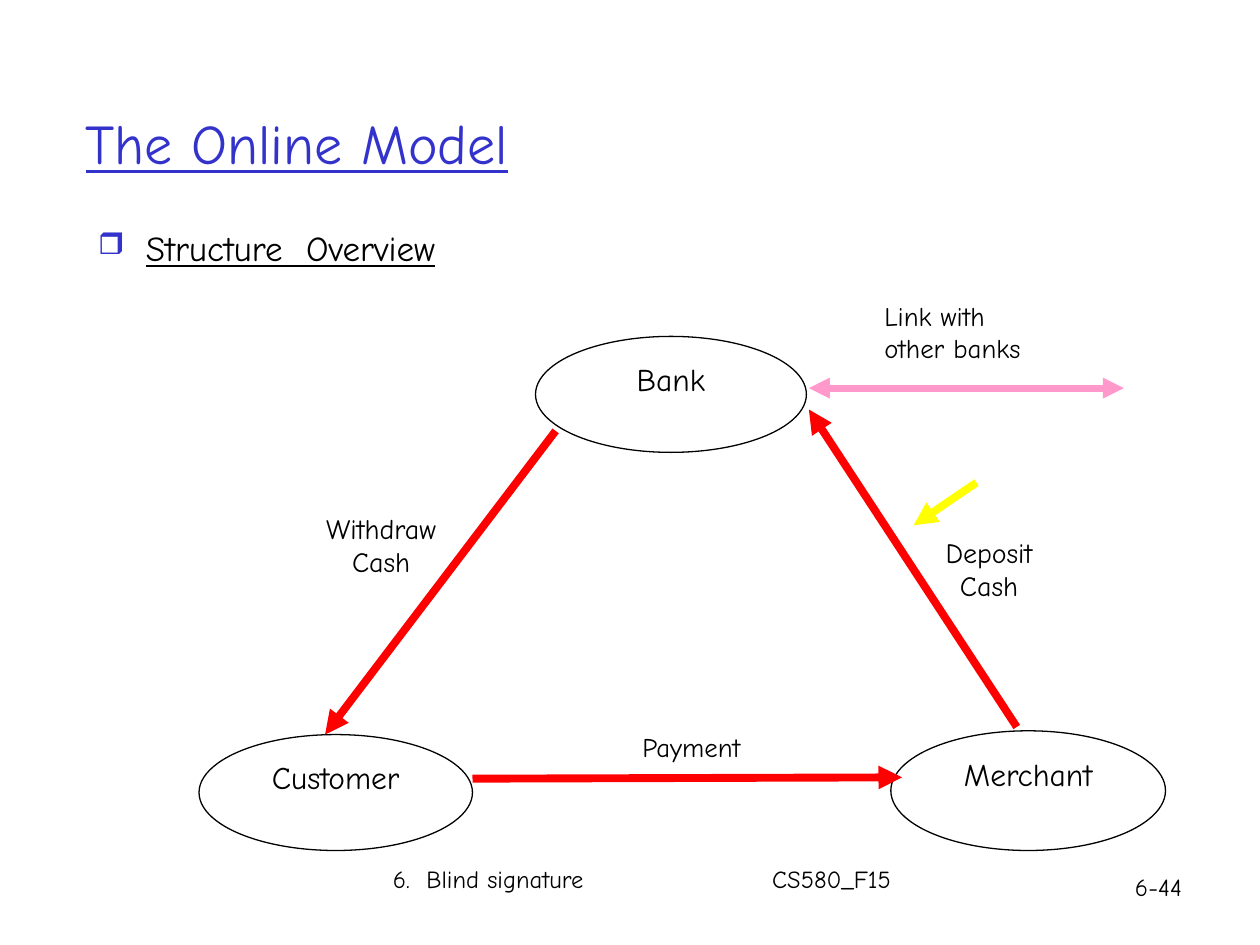
"""Build the slide on the online model of digital cash."""
from lxml.etree import SubElement as Sub
from pptx import Presentation
from pptx.dml.color import RGBColor
from pptx.enum.shapes import MSO_CONNECTOR as Conn, MSO_SHAPE as Shape
from pptx.enum.text import MSO_ANCHOR as Anchor, PP_ALIGN as Align
from pptx.oxml.ns import qn
from pptx.util import Inches, Pt


def rgb(code):
    return RGBColor.from_string(code)


def write(shape, text, size=16, color="000000", align=Align.LEFT,
          anchor=Anchor.TOP, line=False, marks=(), before=0):
    frame = shape.text_frame
    frame.word_wrap = True
    frame.vertical_anchor = anchor
    para = frame.paragraphs[0]
    run = para.add_run()
    run.text = text
    props = para._p.get_or_add_pPr()
    for tag, attrs in marks:
        node = props
        for name in tag.split("/"):
            node = Sub(node, qn(name))
        for key, val in attrs.items():
            node.set(key, val)
    para.alignment = align
    para.space_before = Pt(before)
    font = run.font
    font.name, font.size, font.underline = "Comic Neue", Pt(size), line
    font.color.rgb = rgb(color)


deck = Presentation()
deck.slide_width, deck.slide_height = Inches(10), Inches(7.5)
slide = deck.slides.add_slide(deck.slide_layouts[5])
shapes = slide.shapes

title = shapes.title
title.left, title.top = Inches(0.58), Inches(0.51)
title.width, title.height = Inches(8.5), Inches(1.24)
write(title, "The Online Model", size=32, color="3333CC",
      anchor=Anchor.MIDDLE, line=True)

bullet = [("a:buClr/a:srgbClr", {"val": "3333CC"}),
          ("a:buSzPct", {"val": "85000"}),
          ("a:buChar", {"char": "❒"})]
body = shapes.add_textbox(Inches(0.68), Inches(1.68), Inches(8.5), Inches(0.5))
write(body, "Structure  Overview", size=20, line=True, marks=bullet)
props = body.text_frame.paragraphs[0]._p.pPr
props.set("marL", str(Inches(0.38)))
props.set("indent", str(-Inches(0.38)))
body.text_frame.margin_top = Inches(0.12)

for name, *box in [
    ("Bank", 4.25, 2.67, 2.15, 0.92),
    ("Customer", 1.58, 5.83, 2.17, 0.92),
    ("Merchant", 7.07, 5.8, 2.18, 0.95),
]:
    oval = shapes.add_shape(Shape.OVAL, *map(Inches, box))
    oval.shadow.inherit = False
    oval.fill.solid()
    oval.fill.fore_color.rgb = rgb("FFFFFF")
    oval.line.color.rgb = rgb("000000")
    oval.line.width = Pt(0.75)
    write(oval, name, size=18, align=Align.CENTER)

for color, width, ends, *pts in [
    ("FF0000", 4.5, ["tailEnd"], 8.07, 5.77, 6.42, 3.25),
    ("FF0000", 4.5, ["tailEnd"], 4.41, 3.42, 2.58, 5.83),
    ("FF0000", 4.5, ["tailEnd"], 3.75, 6.18, 7.16, 6.17),
    ("FF99CC", 4, ["headEnd", "tailEnd"], 6.42, 3.08, 8.92, 3.08),
    ("FFFF00", 4.5, ["tailEnd"], 7.75, 3.83, 7.25, 4.17),
]:
    arrow = shapes.add_connector(Conn.STRAIGHT, *map(Inches, pts))
    arrow.line.color.rgb = rgb(color)
    arrow.line.width = Pt(width)
    for end in ends:
        Sub(arrow.line._get_or_add_ln(), qn("a:" + end)).set("type", "triangle")
    Sub(arrow._element.spPr, qn("a:effectLst"))

stop = [("a:tabLst/a:tab", {"pos": str(Inches(3.01)), "algn": "l"})]
for text, size, align, marks, *box in [
    ("Deposit Cash", 16, Align.CENTER, (), 7.33, 4.2, 1.04, 0.65),
    ("Withdraw Cash", 16, Align.CENTER, (), 2.4, 4.01, 1.25, 0.67),
    ("Payment", 15.3, Align.LEFT, (), 5, 5.75, 1.17, 0.38),
    ("Link with other banks", 15.3, Align.LEFT, (), 6.92, 2.33, 1.44, 0.65),
    ("6.  Blind signature\tCS580_F15", 14, Align.LEFT, stop, 3.02, 6.81, 5.99, 0.5),
    ("6-44", 14, Align.LEFT, (), 8.91, 6.87, 0.96, 0.34),
]:
    label = shapes.add_textbox(*map(Inches, box))
    write(label, text, size=size, align=align, marks=marks)

deck.save("out.pptx")
